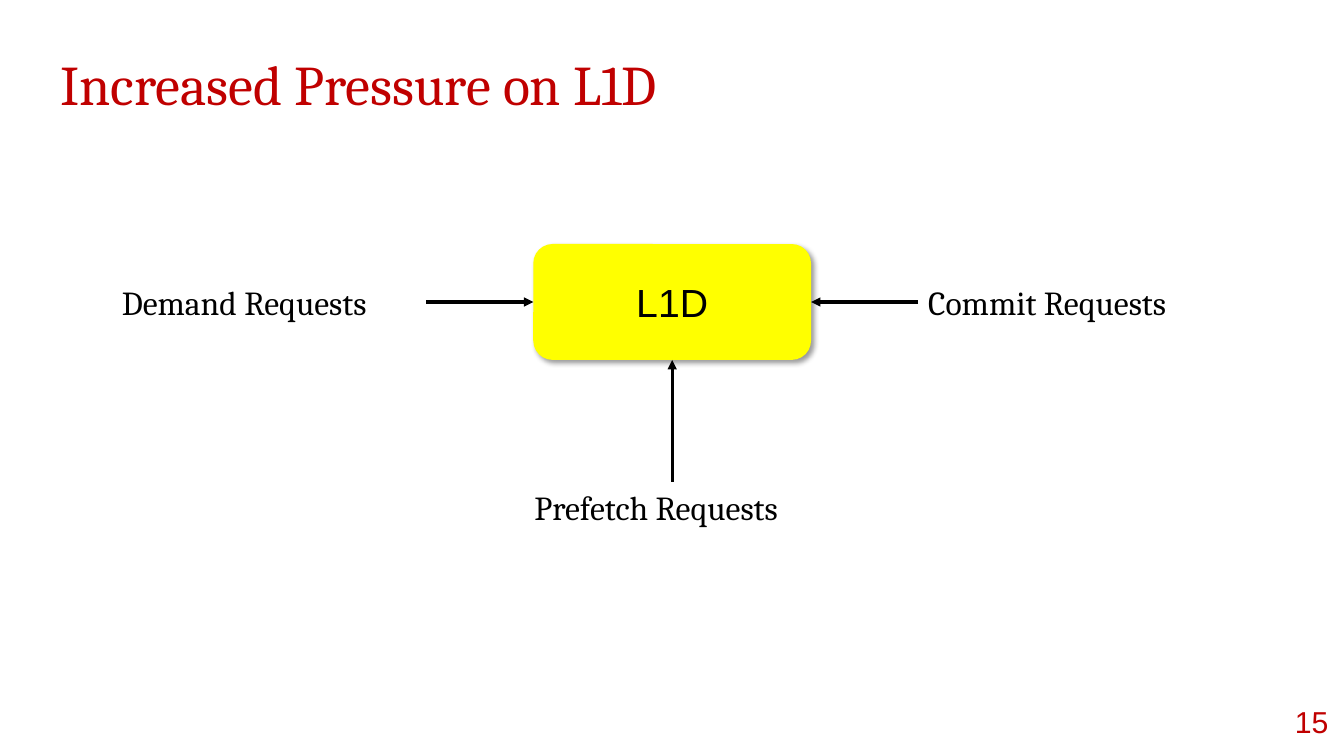
from dataclasses import dataclass

from lxml.etree import SubElement
from pptx import Presentation
from pptx.dml.color import RGBColor
from pptx.enum.shapes import MSO_CONNECTOR as Connector, MSO_SHAPE as Shape
from pptx.enum.text import MSO_ANCHOR as Anchor, MSO_AUTO_SIZE as AutoSize, PP_ALIGN as Align
from pptx.oxml.ns import qn
from pptx.util import Cm, Pt


@dataclass(frozen=True)
class Theme:
    accent: RGBColor = RGBColor(0xC0, 0x00, 0x00)
    ink: RGBColor = RGBColor(0x00, 0x00, 0x00)
    cache: RGBColor = RGBColor(0xFF, 0xFF, 0x00)
    serif: str = "Cambria"
    sans: str = "Arial"
    title_size: float = 40
    cache_size: float = 28
    label_size: float = 24
    number_size: float = 21.6
    arrow_width: float = 2.25


THEME = Theme()
# Connection sites of a rectangle
TOP, LEFT, BOTTOM, RIGHT = range(4)


def write(shape, text, font_name, size, color, align=Align.LEFT, anchor=Anchor.TOP, inset=0.13):
    """Fill a shape with one formatted paragraph; inset is vertical, in cm."""
    frame = shape.text_frame
    frame.word_wrap = True
    frame.auto_size = AutoSize.NONE
    frame.vertical_anchor = anchor
    frame.margin_left = frame.margin_right = Cm(0.25)
    frame.margin_top = frame.margin_bottom = Cm(inset)
    paragraph = frame.paragraphs[0]
    paragraph.text = text
    paragraph.alignment = align
    font = paragraph.font
    font.name, font.size, font.color.rgb = font_name, Pt(size), color


def set_title(slide, text):
    title = slide.shapes.title
    title.left, title.top, title.width, title.height = Cm(1.27), Cm(0.99), Cm(28.4), Cm(2.13)
    write(title, text, THEME.serif, THEME.title_size, THEME.accent, inset=0.25)


def add_page_number(slide, number):
    box = slide.shapes.add_textbox(Cm(31.34), Cm(17.45), Cm(2.39), Cm(1.45))
    write(box, number, THEME.sans, THEME.number_size, THEME.accent,
          Align.RIGHT, Anchor.MIDDLE, inset=0.25)


def add_shadow(shape):
    shape.shadow.inherit = False
    effects = shape._element.spPr.find(qn("a:effectLst"))
    shadow = SubElement(effects, qn("a:outerShdw"), blurRad=str(Pt(4)), dist=str(Pt(3)),
                        dir=str(45 * 60000), algn="tl", rotWithShape="0")
    color = SubElement(shadow, qn("a:srgbClr"), val=str(THEME.ink))
    SubElement(color, qn("a:alpha"), val="40000")


def add_cache(slide, name):
    cache = slide.shapes.add_shape(Shape.ROUNDED_RECTANGLE,
                                   Cm(13.44), Cm(6.15), Cm(7), Cm(2.92))
    cache.fill.solid()
    cache.fill.fore_color.rgb = THEME.cache
    cache.line.fill.background()
    add_shadow(cache)
    write(cache, name, THEME.sans, THEME.cache_size, THEME.ink, Align.CENTER, Anchor.MIDDLE)
    return cache


def add_label(slide, text, left, top, width):
    label = slide.shapes.add_textbox(Cm(left), Cm(top), Cm(width), Cm(1.26))
    write(label, text, THEME.serif, THEME.label_size, THEME.ink)
    label.text_frame.auto_size = AutoSize.SHAPE_TO_FIT_TEXT
    return label


def add_arrow(slide, source, source_site, target, target_site):
    arrow = slide.shapes.add_connector(Connector.STRAIGHT, 0, 0, 0, 0)
    arrow.begin_connect(source, source_site)
    arrow.end_connect(target, target_site)
    arrow.line.color.rgb = THEME.ink
    arrow.line.width = Pt(THEME.arrow_width)
    SubElement(arrow.line._get_or_add_ln(), qn("a:tailEnd"), type="triangle")
    SubElement(arrow._element.spPr, qn("a:effectLst"))


def main():
    deck = Presentation()
    deck.slide_width, deck.slide_height = Cm(33.87), Cm(19.05)
    slide = deck.slides.add_slide(deck.slide_layouts.get_by_name("Title Only"))

    set_title(slide, "Increased Pressure on L1D")
    add_page_number(slide, "15")
    cache = add_cache(slide, "L1D")

    requests = [
        ("Demand Requests", 2.82, 6.98, 7.92, RIGHT, LEFT),
        ("Prefetch Requests", 13.22, 12.14, 7.44, TOP, BOTTOM),
        ("Commit Requests", 23.14, 6.98, 7.92, LEFT, RIGHT),
    ]
    for text, left, top, width, label_site, cache_site in requests:
        label = add_label(slide, text, left, top, width)
        add_arrow(slide, label, label_site, cache, cache_site)

    deck.save("out.pptx")


if __name__ == "__main__":
    main()
